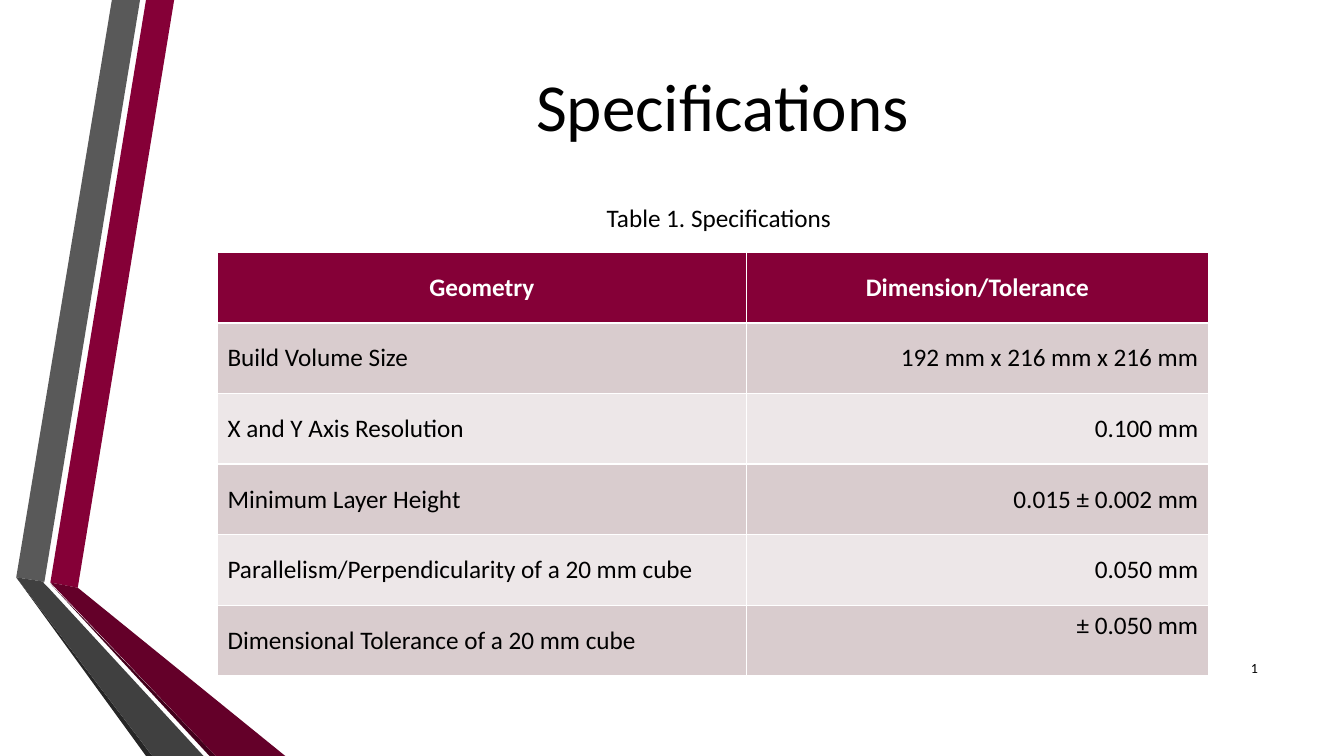
from lxml import etree
from pptx import Presentation
from pptx.dml.color import RGBColor
from pptx.enum.text import MSO_ANCHOR as Anchor, PP_ALIGN as Align
from pptx.oxml.ns import qn
from pptx.util import Cm, Pt

FONT = "Calibri"
MAROON, BLACK, WHITE = "850037", "000000", "FFFFFF"
BANDS = ("D9CCCE", "EDE7E8")
TITLE_ONLY = 5

# Fill and outline in cm, from back to front
RIBBONS = [
    (MAROON, [(1.27, 14.68), (1.96, 14.81), (4.39, 0), (3.68, 0)]),
    ("595959", [(3.53, 0), (2.82, 0), (0.41, 14.55), (1.12, 14.66)]),
    ("262626", [(0.41, 14.55), (3.68, 19.05), (3.84, 19.05)]),
    ("42001B", [(1.27, 14.71), (5.28, 19.05), (5.44, 19.05)]),
    ("640029", [(1.27, 14.68), (5.44, 19.05), (7.19, 19.05), (1.96, 14.81)]),
    ("404040", [(5.13, 19.05), (1.22, 14.81), (1.09, 14.68), (1.12, 14.66),
                (0.41, 14.55), (3.84, 19.05)]),
]
SPECIFICATIONS = [
    ("Geometry", "Dimension/Tolerance"),
    ("Build Volume Size", "192 mm x 216 mm x 216 mm"),
    ("X and Y Axis Resolution", "0.100 mm"),
    ("Minimum Layer Height", "0.015 ± 0.002 mm"),
    ("Parallelism/Perpendicularity of a 20 mm cube", "0.050 mm"),
    ("Dimensional Tolerance of a 20 mm cube", "± 0.050 mm"),
]


def color(value):
    return RGBColor.from_string(value)


def paint(target, value):
    target.fill.solid()
    target.fill.fore_color.rgb = color(value)


def write(text_frame, text, size, align=Align.LEFT, value=BLACK, bold=False):
    text_frame.text = text
    paragraph = text_frame.paragraphs[0]
    paragraph.alignment = align
    font = paragraph.runs[0].font
    font.name, font.size, font.bold = FONT, Pt(size), bold
    font.color.rgb = color(value)


def add_ribbons(slide, left, top):
    for fill, outline in RIBBONS:
        points = [(left + Cm(x), top + Cm(y)) for x, y in outline]
        builder = slide.shapes.build_freeform(*points[0])
        builder.add_line_segments(points[1:])
        ribbon = builder.convert_to_shape()
        ribbon.shadow.inherit = False
        paint(ribbon, fill)
        ribbon.line.fill.background()


def place_title(slide, left, top, width, height):
    title = slide.shapes.title
    title.left, title.top, title.width, title.height = left, top, width, height
    title.text_frame.vertical_anchor = Anchor.MIDDLE
    write(title.text_frame, "Specifications", 48, Align.CENTER)


def add_caption(slide, left, top, width, height):
    caption = slide.shapes.add_textbox(left, top, width, height)
    caption.text_frame.word_wrap = False
    write(caption.text_frame, "Table 1. Specifications", 18)


def add_page_number(slide, left, top, width, height):
    """Add a slide number field that follows the slide's position."""
    text_frame = slide.shapes.add_textbox(left, top, width, height).text_frame
    text_frame.word_wrap = True
    text_frame.vertical_anchor = Anchor.MIDDLE
    write(text_frame, "1", 10, Align.RIGHT)
    run = text_frame.paragraphs[0].runs[0]._r
    field = etree.Element(qn("a:fld"), type="slidenum",
                          id="{B6F15528-21DE-4FAA-801E-634DDDAF4B2B}")
    run.addprevious(field)
    field.extend(list(run))
    run.getparent().remove(run)


def add_specifications(slide, left, top, width, height):
    rows = len(SPECIFICATIONS)
    table = slide.shapes.add_table(rows, 2, left, top, width, height).table
    table.columns[0].width = Cm(13.33)
    table.columns[1].width = width - Cm(13.33)
    for row, texts in enumerate(SPECIFICATIONS):
        for column, text in enumerate(texts):
            cell = table.cell(row, column)
            cell.vertical_anchor = Anchor.MIDDLE
            if row == 0:
                paint(cell, MAROON)
                write(cell.text_frame, text, 18, Align.CENTER, WHITE, True)
            else:
                paint(cell, BANDS[(row - 1) % 2])
                align = Align.RIGHT if column else Align.LEFT
                write(cell.text_frame, text, 18, align)
    table.cell(rows - 1, 1).vertical_anchor = Anchor.TOP


def main():
    presentation = Presentation()
    presentation.slide_width, presentation.slide_height = Cm(33.87), Cm(19.05)
    layout = presentation.slide_layouts[TITLE_ONLY]
    slide = presentation.slides.add_slide(layout)
    add_ribbons(slide, Cm(0), Cm(0))
    place_title(slide, Cm(4.29), Cm(1.17), Cm(27.84), Cm(2.95))
    add_page_number(slide, Cm(30.43), Cm(16.31), Cm(1.52), Cm(1.02))
    add_caption(slide, Cm(15.04), Cm(4.98), Cm(6.35), Cm(1.02))
    add_specifications(slide, Cm(5.48), Cm(6.36), Cm(24.97), Cm(10.67))
    presentation.save("out.pptx")


if __name__ == "__main__":
    main()
